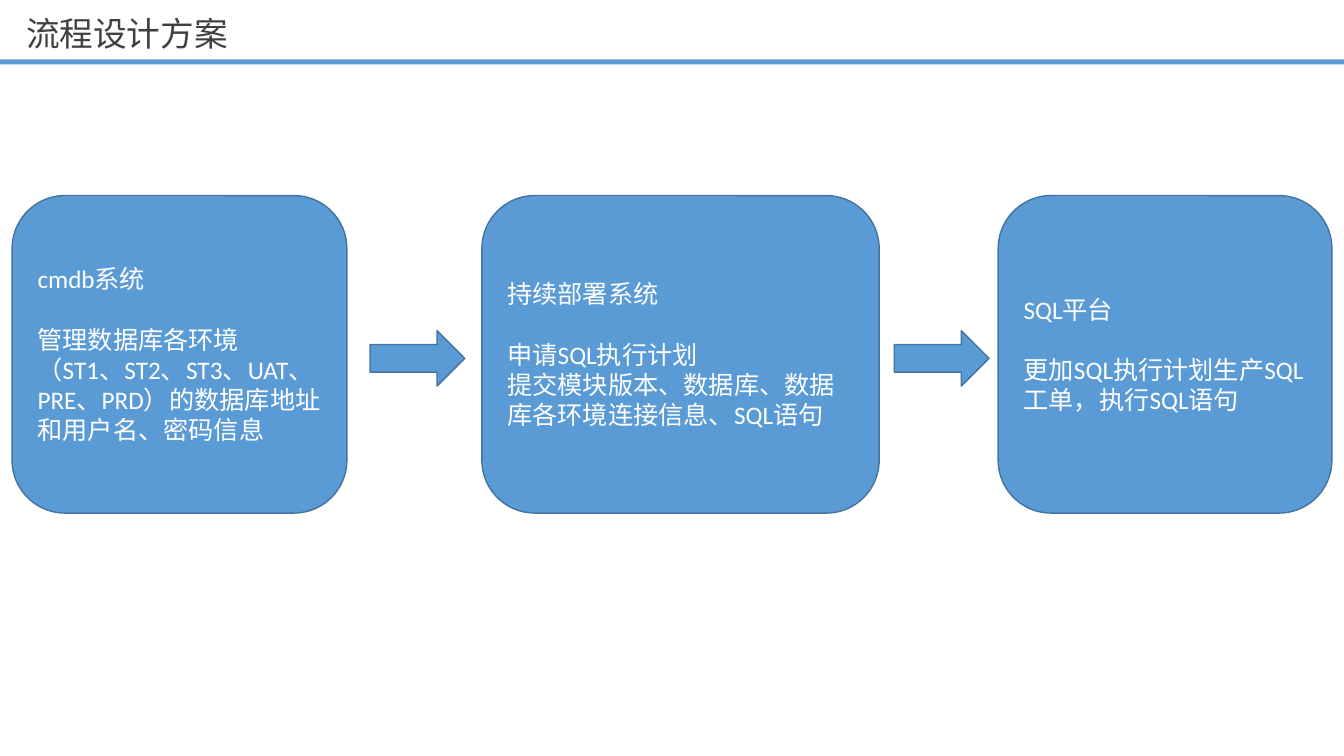
from lxml.etree import SubElement
from pptx import Presentation
from pptx.dml.color import RGBColor
from pptx.enum.shapes import MSO_SHAPE
from pptx.enum.text import MSO_ANCHOR, PP_ALIGN
from pptx.oxml.ns import qn
from pptx.util import Inches, Pt

BLUE = RGBColor(0x5B, 0x9B, 0xD5)
OUTLINE = RGBColor(0x43, 0x73, 0x9E)
WHITE = RGBColor(0xFF, 0xFF, 0xFF)
DARK = RGBColor(0x40, 0x40, 0x40)
LATIN_FONT = "Calibri"
CHINESE_FONT = "Noto Sans CJK SC"

STEP_TOP, STEP_HEIGHT = 1.94, 3.15
ARROW_TOP, ARROW_WIDTH, ARROW_HEIGHT = 3.28, 0.94, 0.55
STEPS = [
    (0.12, 3.32, "cmdb系统",
     ["管理数据库各环境（ST1、ST2、ST3、UAT、PRE、PRD）的数据库地址和用户名、密码信息"]),
    (4.78, 3.94, "持续部署系统",
     ["申请SQL执行计划", "提交模块版本、数据库、数据库各环境连接信息、SQL语句"]),
    (9.9, 3.31, "SQL平台",
     ["更加SQL执行计划生产SQL工单，执行SQL语句"]),
]
ARROW_LEFTS = [3.67, 8.87]


def style_paragraph(para, size, color, latin):
    para.alignment = PP_ALIGN.LEFT
    para.font.size = Pt(size)
    para.font.color.rgb = color
    para.font.name = latin
    defaults = para._p.get_or_add_pPr().find(qn("a:defRPr"))
    SubElement(defaults, qn("a:ea")).set("typeface", CHINESE_FONT)


def add_block(page, kind, left, top, width, height, outlined=True):
    block = page.shapes.add_shape(
        kind, Inches(left), Inches(top), Inches(width), Inches(height))
    block.shadow.inherit = False
    block.fill.solid()
    block.fill.fore_color.rgb = BLUE
    if outlined:
        block.line.color.rgb = OUTLINE
        block.line.width = Pt(1)
    else:
        block.line.fill.background()
    return block


def add_title(page, text):
    box = page.shapes.add_textbox(
        Inches(0.16), Inches(0.07), Inches(9.15), Inches(0.57))
    frame = box.text_frame
    frame.word_wrap = True
    frame.vertical_anchor = MSO_ANCHOR.MIDDLE
    frame.text = text
    para = frame.paragraphs[0]
    para.line_spacing = 0.9
    style_paragraph(para, 24, DARK, CHINESE_FONT)


def add_step(page, left, width, heading, details):
    block = add_block(page, MSO_SHAPE.ROUNDED_RECTANGLE,
                      left, STEP_TOP, width, STEP_HEIGHT)
    frame = block.text_frame
    frame.word_wrap = True
    frame.vertical_anchor = MSO_ANCHOR.MIDDLE
    frame.text = "\n".join([heading, *details])
    for para in frame.paragraphs:
        style_paragraph(para, 18, WHITE, LATIN_FONT)
    frame.paragraphs[0].space_after = Pt(21.6)


def main():
    deck = Presentation()
    deck.slide_width = Inches(13.33)
    deck.slide_height = Inches(7.5)
    page = deck.slides.add_slide(deck.slide_layouts[6])
    add_block(page, MSO_SHAPE.RECTANGLE, 0, 0.59, 13.33, 0.05, outlined=False)
    add_title(page, "流程设计方案")
    for step in STEPS:
        add_step(page, *step)
    for left in ARROW_LEFTS:
        add_block(page, MSO_SHAPE.RIGHT_ARROW,
                  left, ARROW_TOP, ARROW_WIDTH, ARROW_HEIGHT)
    deck.save("out.pptx")


if __name__ == "__main__":
    main()
